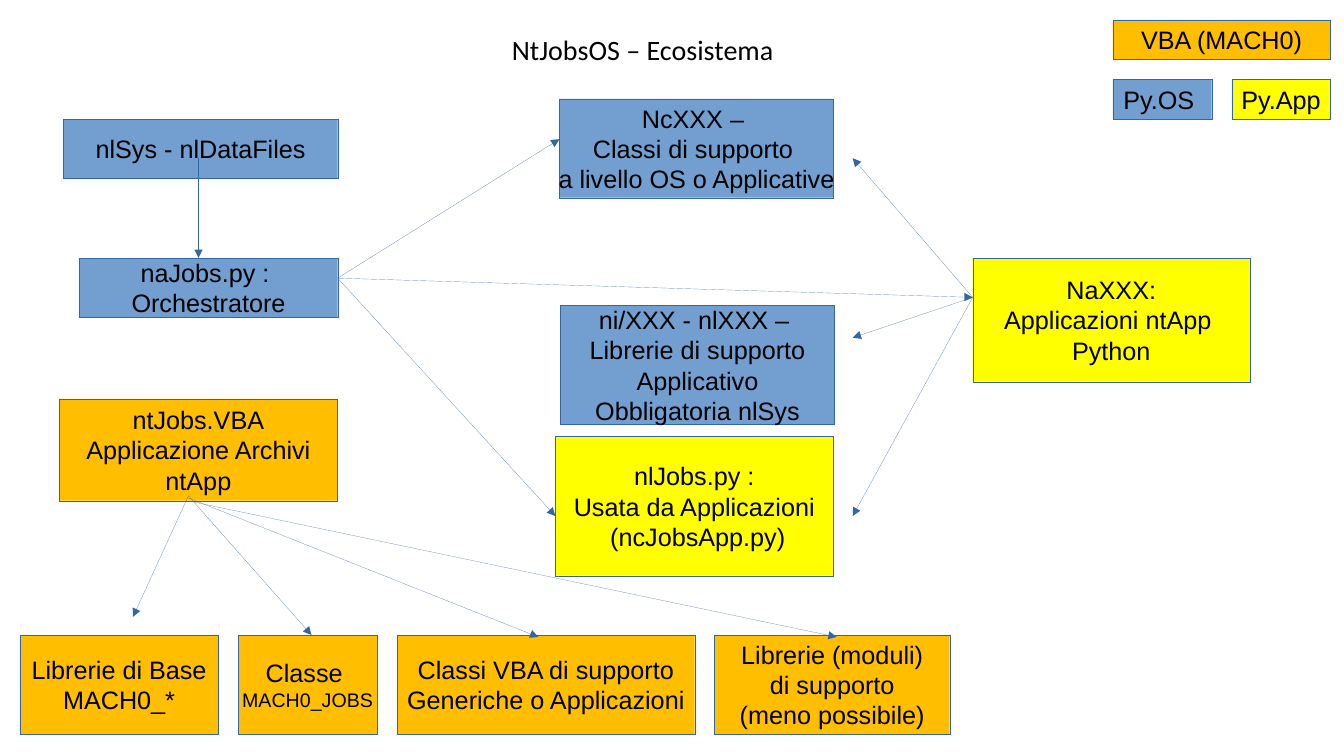
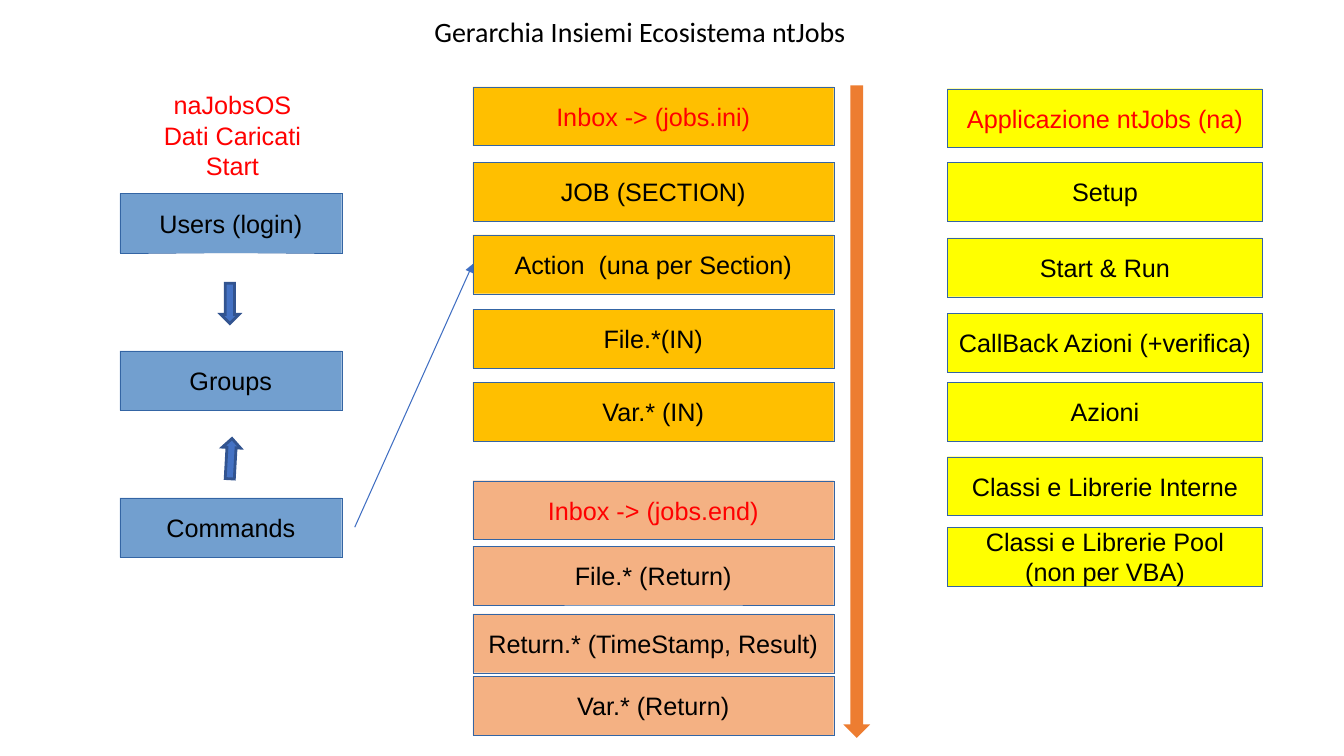
"""Build two slides on the ntJobs ecosystem and its hierarchy."""
from dataclasses import dataclass

from lxml.etree import SubElement
from pptx import Presentation
from pptx.dml.color import RGBColor as Rgb
from pptx.enum.shapes import MSO_CONNECTOR as Link, MSO_SHAPE as Shape
from pptx.enum.text import MSO_ANCHOR as Anchor, MSO_AUTO_SIZE as AutoSize, PP_ALIGN as Align
from pptx.oxml.ns import qn
from pptx.util import Pt


@dataclass(frozen=True)
class Theme:
    blue: str = "729FCF"
    yellow: str = "FFFF00"
    amber: str = "FFBF00"
    peach: str = "F4B183"
    outline: str = "3465A4"
    black: str = "000000"
    red: str = "FF0000"
    flow: str = "ED7D31"
    block: str = "4472C4"
    block_outline: str = "325490"
    link: str = "3F6EC2"
    title_font: str = "Calibri"
    body_font: str = "Arial"
    title_size: int = 20
    body_size: int = 18
    small_size: int = 14
    hairline: float = 0.1


theme = Theme()


def write(frame, text, color=theme.black, font=theme.body_font, size=theme.body_size):
    """Write centred text: a newline starts a paragraph, a vertical tab a line."""
    for index, block in enumerate(text.split("\n")):
        para = frame.add_paragraph() if index else frame.paragraphs[0]
        para.alignment = Align.CENTER
        for number, words in enumerate(block.split("\v")):
            if number:
                para.add_line_break()
            span = para.add_run()
            span.text = words
            span.font.name, span.font.size = font, Pt(size)
            span.font.color.rgb = Rgb.from_string(color)


def add_shape(page, kind, place, fill, line, width=theme.hairline, text="", color=theme.black):
    """Add a filled, outlined shape with optional centred text."""
    shape = page.shapes.add_shape(kind, *map(Pt, place))
    shape.shadow.inherit = False
    shape.fill.solid()
    shape.fill.fore_color.rgb = Rgb.from_string(fill)
    shape.line.color.rgb = Rgb.from_string(line)
    shape.line.width = Pt(width)
    SubElement(shape.line._get_or_add_ln(), qn("a:miter"), lim="800000")
    if text:
        shape.text_frame.word_wrap = False
        shape.text_frame.vertical_anchor = Anchor.MIDDLE
        write(shape.text_frame, text, color)
    return shape


deck = Presentation()
deck.slide_width, deck.slide_height = Pt(960), Pt(540)
pages = []
for heading, place in (
    ("NtJobsOS – Ecosistema", (45.4, 17.3, 827.3, 36)),
    ("Gerarchia Insiemi Ecosistema ntJobs ", (157.7, 4.3, 603.4, 36)),
):
    page = deck.slides.add_slide(deck.slide_layouts[5])
    title = page.shapes.title
    title.left, title.top, title.width, title.height = map(Pt, place)
    frame = title.text_frame
    frame.margin_left = frame.margin_top = frame.margin_right = frame.margin_bottom = 0
    frame.vertical_anchor = Anchor.MIDDLE
    frame.auto_size = AutoSize.NONE
    write(frame, heading, font=theme.title_font, size=theme.title_size)
    pages.append(page)
ecosystem, hierarchy = pages

for place, fill, text in (
    ((45.4, 85, 195.8, 42.5), theme.blue, "nlSys - nlDataFiles"),
    ((56.7, 184.3, 184.5, 42.5), theme.blue, "naJobs.py : \vOrchestratore"),
    ((399.6, 70.6, 195.8, 70.6), theme.blue,
     "NcXXX – \vClassi di supporto \va livello OS o Applicative"),
    ((400.3, 218.2, 195.8, 85), theme.blue,
     "ni/XXX - nlXXX – \vLibrerie di supporto\nApplicativo\vObbligatoria nlSys"),
    ((396.7, 311.8, 198.4, 99.4), theme.yellow,
     "nlJobs.py :\vUsata da Applicazioni\v (ncJobsApp.py)"),
    ((694.8, 184.3, 198, 88.3), theme.yellow, "NaXXX:\vApplicazioni ntApp \nPython"),
    ((42.5, 285, 198.4, 72.7), theme.amber, "ntJobs.VBA\vApplicazione Archivi\nntApp"),
    ((794.9, 14.2, 155.5, 28.3), theme.amber, "VBA (MACH0)"),
    ((794.9, 56.7, 70.6, 28.3), theme.blue, "Py.OS "),
    ((879.8, 56.7, 70.6, 28.3), theme.yellow, "Py.App"),
):
    add_shape(ecosystem, Shape.RECTANGLE, place, fill, theme.outline, text=text)

left, gap = 14.2, 14.2
for width, text in (
    (141.8, "Librerie di Base\vMACH0_*"),
    (99.2, "Classe \vMACH0_JOBS"),
    (212.6, "Classi VBA di supporto\vGeneriche o Applicazioni"),
    (168, "Librerie (moduli)\vdi supporto\v(meno possibile)"),
):
    box = add_shape(ecosystem, Shape.RECTANGLE, (left, 453.6, width, 70.6),
                    theme.amber, theme.outline, text=text)
    if text.startswith("Classe "):
        box.text_frame.paragraphs[0].runs[1].font.size = Pt(theme.small_size)
    left += width + gap

for left, width, height, fill, entries in (
    (85.7, 158.4, 42.5, theme.blue,
     ((138.2, "Users (login)"), (250.6, "Groups"), (355.7, "Commands"))),
    (337.7, 257.8, 42, theme.amber,
     ((62, "Inbox -> (jobs.ini)"), (116, "JOB (SECTION)"),
      (167.8, "Action  (una per Section)"), (221, "File.*(IN)"), (272.9, "Var.* (IN)"))),
    (337.7, 257.8, 42, theme.peach,
     ((343.4, "Inbox -> (jobs.end)"), (390.2, "File.* (Return)"),
      (438.5, "Return.* (TimeStamp, Result)"), (483.1, "Var.* (Return)"))),
    (676.8, 225, 42, theme.yellow,
     ((63.4, "Applicazione ntJobs (na)"), (116, "Setup"), (169.9, "Start & Run"),
      (223.9, "CallBack Azioni (+verifica)"), (272.9, "Azioni"),
      (326.2, "Classi e Librerie Interne"),
      (376.6, "Classi e Librerie Pool\v(non per VBA)"))),
):
    for index, (top, text) in enumerate(entries):
        heads_column = index == 0 and fill != theme.blue
        add_shape(hierarchy, Shape.RECTANGLE, (left, top, width, height), fill,
                  theme.outline, text=text, color=theme.red if heads_column else theme.black)

caption = hierarchy.shapes.add_textbox(Pt(88.6), Pt(60.5), Pt(154.8), Pt(50.4))
caption.text_frame.word_wrap = True
write(caption.text_frame, "naJobsOS\nDati Caricati Start", theme.red)

for place, turn, fill, line in (
    ((604.8, 62, 14.4, 463.7), 0, theme.flow, theme.flow),
    ((157.7, 202.3, 13, 28.8), 0, theme.block, theme.block_outline),
    ((158.4, 313.2, 13, 28.8), 183.2, theme.block, theme.block_outline),
):
    add_shape(hierarchy, Shape.DOWN_ARROW, place, fill, line, 2).rotation = turn

for page, color, width, start, ends in (
    (ecosystem, theme.outline, theme.hairline, (141.8, 113), ((141.8, 184.3),)),
    (ecosystem, theme.outline, theme.hairline, (241.2, 198.7),
     ((399.6, 99.4), (694.8, 212.4), (396.7, 368.6))),
    (ecosystem, theme.outline, theme.hairline, (694.8, 212.4),
     ((609.1, 241.2), (609.1, 113), (609.1, 368.6))),
    (ecosystem, theme.outline, theme.hairline, (134.6, 354.2), ((95, 440.6), (222.5, 453.6))),
    (ecosystem, theme.outline, theme.hairline, (134.6, 355.7), ((384.5, 455),)),
    (ecosystem, theme.outline, theme.hairline, (134.6, 357.8), ((597.6, 455),)),
    (hierarchy, theme.link, 0.75, (253.4, 376.6), ((337.7, 188.6),)),
):
    for end in ends:
        arrow = page.shapes.add_connector(Link.STRAIGHT, *map(Pt, start + end))
        arrow.line.color.rgb = Rgb.from_string(color)
        arrow.line.width = Pt(width)
        SubElement(arrow.line._get_or_add_ln(), qn("a:tailEnd"), type="triangle")
        SubElement(arrow._element.spPr, qn("a:effectLst"))

deck.save("out.pptx")
